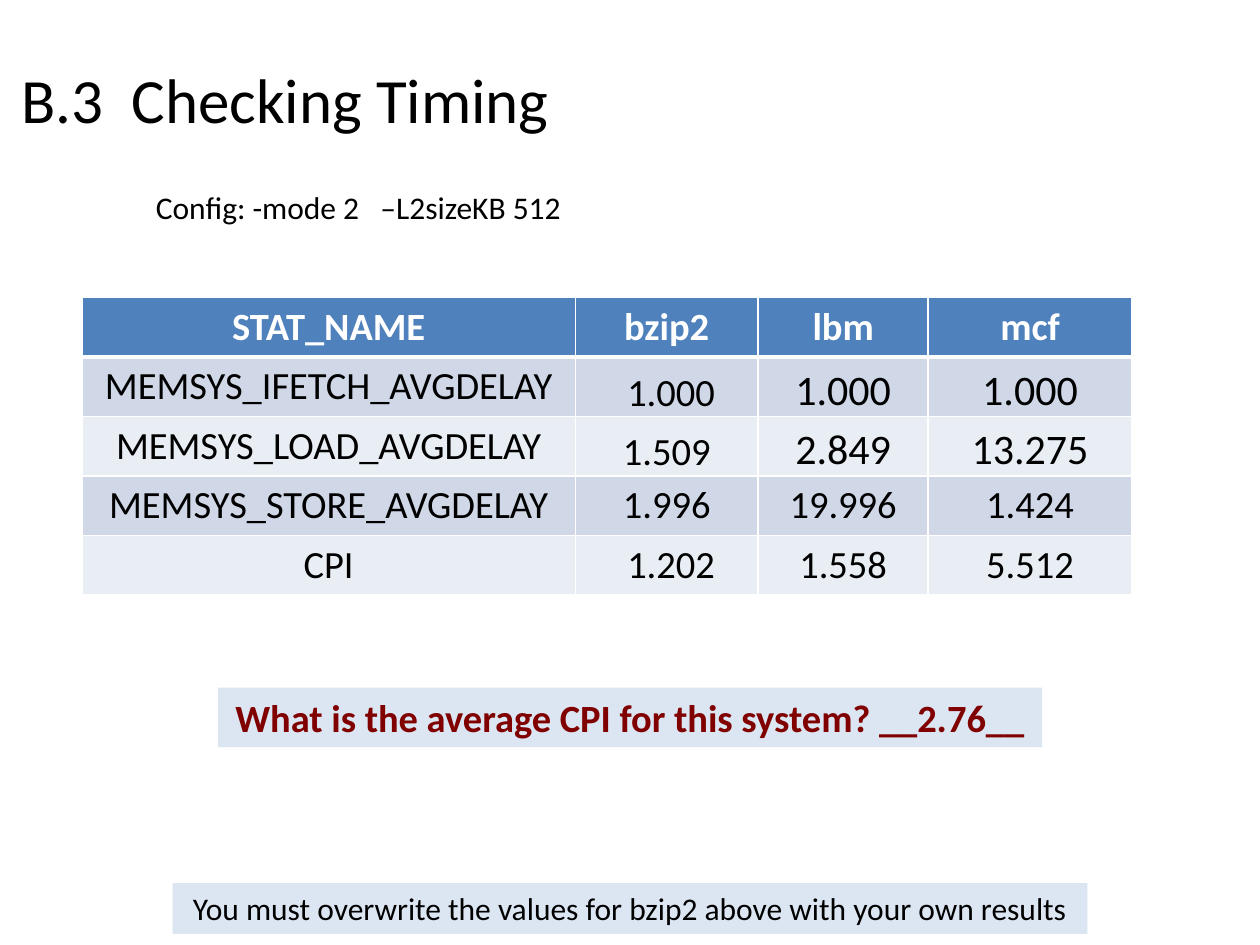
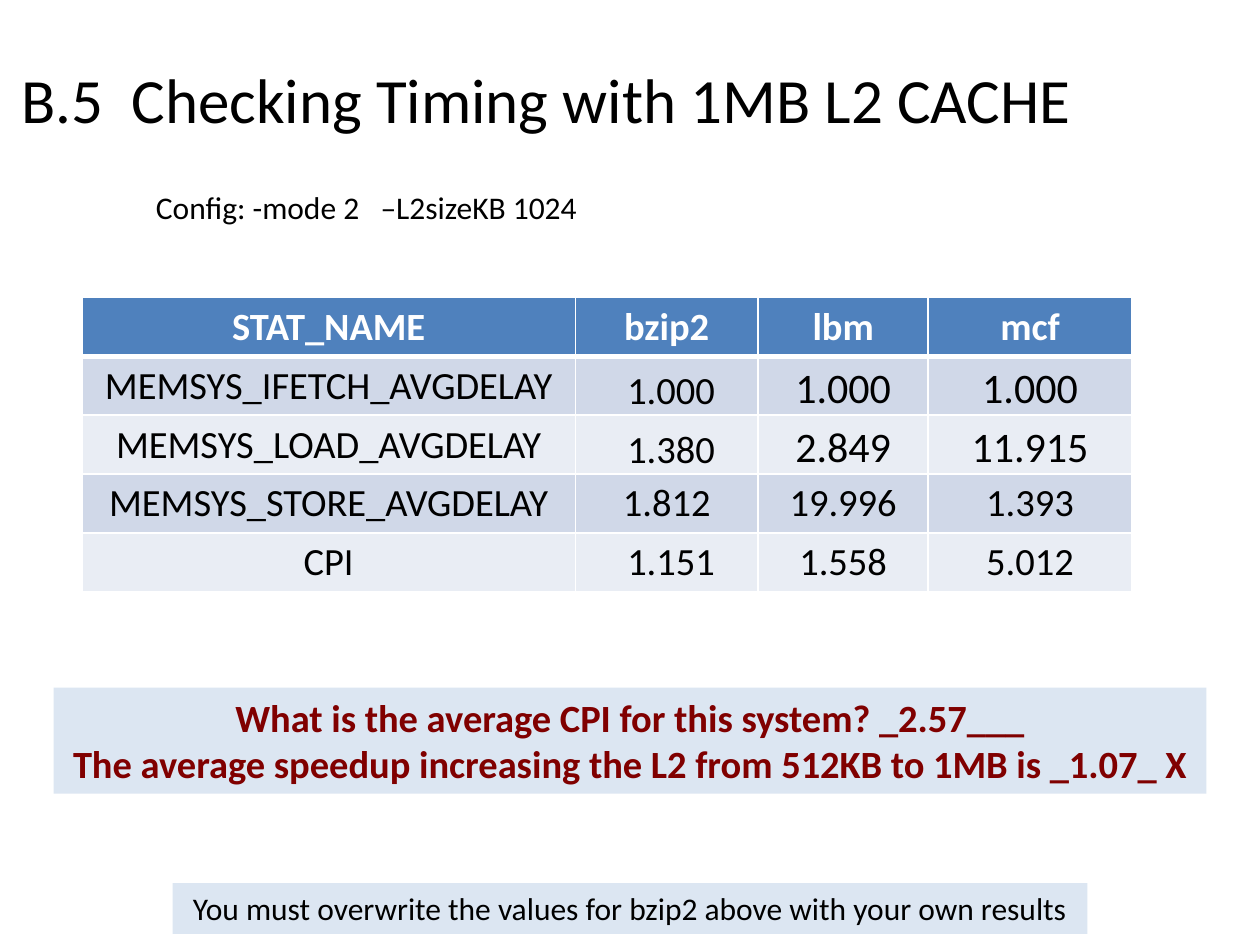
"""Build two result slides on memory timing, each with a statistics table."""
from dataclasses import dataclass

from lxml import etree
from pptx import Presentation
from pptx.dml.color import RGBColor
from pptx.enum.shapes import MSO_SHAPE
from pptx.enum.text import MSO_ANCHOR, MSO_AUTO_SIZE, PP_ALIGN
from pptx.oxml.ns import qn
from pptx.util import Pt

RECTANGLE = MSO_SHAPE.RECTANGLE
LEFT, CENTER = PP_ALIGN.LEFT, PP_ALIGN.CENTER
TOP, BOTTOM = MSO_ANCHOR.TOP, MSO_ANCHOR.BOTTOM
GROW = MSO_AUTO_SIZE.SHAPE_TO_FIT_TEXT

PAGE_WIDTH, PAGE_HEIGHT = 720, 540
TABLE_LEFT, TABLE_TOP = 46.8, 170
COLUMN_WIDTHS = (282, 104.4, 97.2, 116.4)
ROW_HEIGHT = 33.6
HEADER = ("STAT_NAME", "bzip2", "lbm", "mcf")
REMINDER = "You must overwrite the values for bzip2 above with your own results"


@dataclass(frozen=True)
class Theme:
    font: str = "Calibri"
    ink: str = "000000"
    white: str = "FFFFFF"
    answer: str = "800000"
    panel: str = "DCE6F2"
    header: str = "4F81BD"
    bands: tuple = ("D0D8E8", "E9EDF4")
    title_size: int = 36
    body_size: int = 18
    table_size: int = 22
    large_size: int = 24
    rule: int = 1
    header_rule: int = 3


class Deck:
    def __init__(self, theme):
        self.theme = theme
        self.presentation = Presentation()
        self.presentation.slide_width = Pt(PAGE_WIDTH)
        self.presentation.slide_height = Pt(PAGE_HEIGHT)
        self.page = None

    def new_page(self):
        self.page = self.presentation.slides.add_slide(self.presentation.slide_layouts[6])

    def add_lines(self, frame, lines, size, color, bold=False, align=LEFT):
        for index, line in enumerate(lines):
            para = frame.paragraphs[0] if index == 0 else frame.add_paragraph()
            para.alignment = align
            span = para.add_run()
            span.text = line
            formats = {"name": self.theme.font, "size": Pt(size), "bold": bold}
            for name, value in formats.items():
                setattr(span.font, name, value)
            span.font.color.rgb = RGBColor.from_string(color)

    def label(self, text, left, top, width, height, size):
        box = self.page.shapes.add_textbox(Pt(left), Pt(top), Pt(width), Pt(height))
        box.text_frame.word_wrap = False
        box.text_frame.auto_size = GROW
        self.add_lines(box.text_frame, [text], size, self.theme.ink)

    def panel(self, lines, top, width, height, size, color, bold=False):
        left = (PAGE_WIDTH - width) / 2
        box = self.page.shapes.add_shape(RECTANGLE, Pt(left), Pt(top), Pt(width), Pt(height))
        box.shadow.inherit = False
        box.fill.solid()
        box.fill.fore_color.rgb = RGBColor.from_string(self.theme.panel)
        box.line.fill.background()
        formats = {"word_wrap": False, "auto_size": GROW, "vertical_anchor": TOP}
        for name, value in formats.items():
            setattr(box.text_frame, name, value)
        self.add_lines(box.text_frame, lines, size, color, bold, CENTER)

    def borders(self, cell, row):
        theme = self.theme
        widths = {
            "a:lnL": theme.rule,
            "a:lnR": theme.rule,
            "a:lnT": theme.header_rule if row == 1 else theme.rule,
            "a:lnB": theme.header_rule if row == 0 else theme.rule,
        }
        properties = cell._tc.get_or_add_tcPr()
        for position, (tag, width) in enumerate(widths.items()):
            line = etree.Element(qn(tag), w=str(Pt(width)))
            fill = etree.SubElement(line, qn("a:solidFill"))
            etree.SubElement(fill, qn("a:srgbClr"), val=theme.white)
            properties.insert(position, line)

    def table(self, rows):
        theme = self.theme
        grid = self.page.shapes.add_table(
            len(rows), len(COLUMN_WIDTHS), Pt(TABLE_LEFT), Pt(TABLE_TOP),
            Pt(sum(COLUMN_WIDTHS)), Pt(ROW_HEIGHT * len(rows))).table
        for column, width in zip(grid.columns, COLUMN_WIDTHS):
            column.width = Pt(width)
        for row, values in enumerate(rows):
            grid.rows[row].height = Pt(ROW_HEIGHT)
            for column, value in enumerate(values):
                cell = grid.cell(row, column)
                is_header = row == 0
                is_low = row in (1, 2) and column > 0
                cell.fill.solid()
                fill = theme.header if is_header else theme.bands[(row - 1) % 2]
                cell.fill.fore_color.rgb = RGBColor.from_string(fill)
                if is_low:
                    formats = {"vertical_anchor": BOTTOM, "margin_left": Pt(0.7),
                               "margin_right": Pt(0.7), "margin_top": Pt(0.7),
                               "margin_bottom": Pt(0)}
                    for name, setting in formats.items():
                        setattr(cell, name, setting)
                size = theme.large_size if is_low and column > 1 else theme.table_size
                color = theme.white if is_header else theme.ink
                self.add_lines(cell.text_frame, [value], size, color, is_header, CENTER)
                self.borders(cell, row)

    def result_page(self, title, title_width, config, config_width, stats,
                    answers, answer_width, answer_height):
        theme = self.theme
        self.new_page()
        self.table([HEADER, *stats])
        self.label(title, 5, 31, title_width, 51, theme.title_size)
        self.panel([REMINDER], 504.7, 522.7, 29, theme.body_size, theme.ink)
        self.panel(answers, 393, answer_width, answer_height, theme.table_size,
                   theme.answer, bold=True)
        self.label(config, 82, 103.7, config_width, 29, theme.body_size)


deck = Deck(Theme())
deck.result_page(
    "B.3  Checking Timing", 319,
    "Config: -mode 2   –L2sizeKB 512", 249,
    [("MEMSYS_IFETCH_AVGDELAY", " 1.000", "1.000", "1.000"),
     ("MEMSYS_LOAD_AVGDELAY", "1.509", "2.849", "13.275"),
     ("MEMSYS_STORE_AVGDELAY", "1.996", "19.996", "1.424"),
     ("CPI", " 1.202", "1.558", "5.512")],
    ["What is the average CPI for this system? __2.76__"], 471, 34)
deck.result_page(
    "B.5  Checking Timing with 1MB L2 CACHE", 620.6,
    "Config: -mode 2   –L2sizeKB 1024 ", 258.5,
    [("MEMSYS_IFETCH_AVGDELAY", " 1.000", "1.000", "1.000"),
     ("MEMSYS_LOAD_AVGDELAY", " 1.380", "2.849", "11.915"),
     ("MEMSYS_STORE_AVGDELAY", "1.812", "19.996", "1.393"),
     ("CPI", " 1.151", "1.558", "5.012")],
    ["What is the average CPI for this system? _2.57___",
     "The average speedup increasing the L2 from 512KB to 1MB is _1.07_ X"], 658.8, 60.5)
deck.presentation.save("out.pptx")
